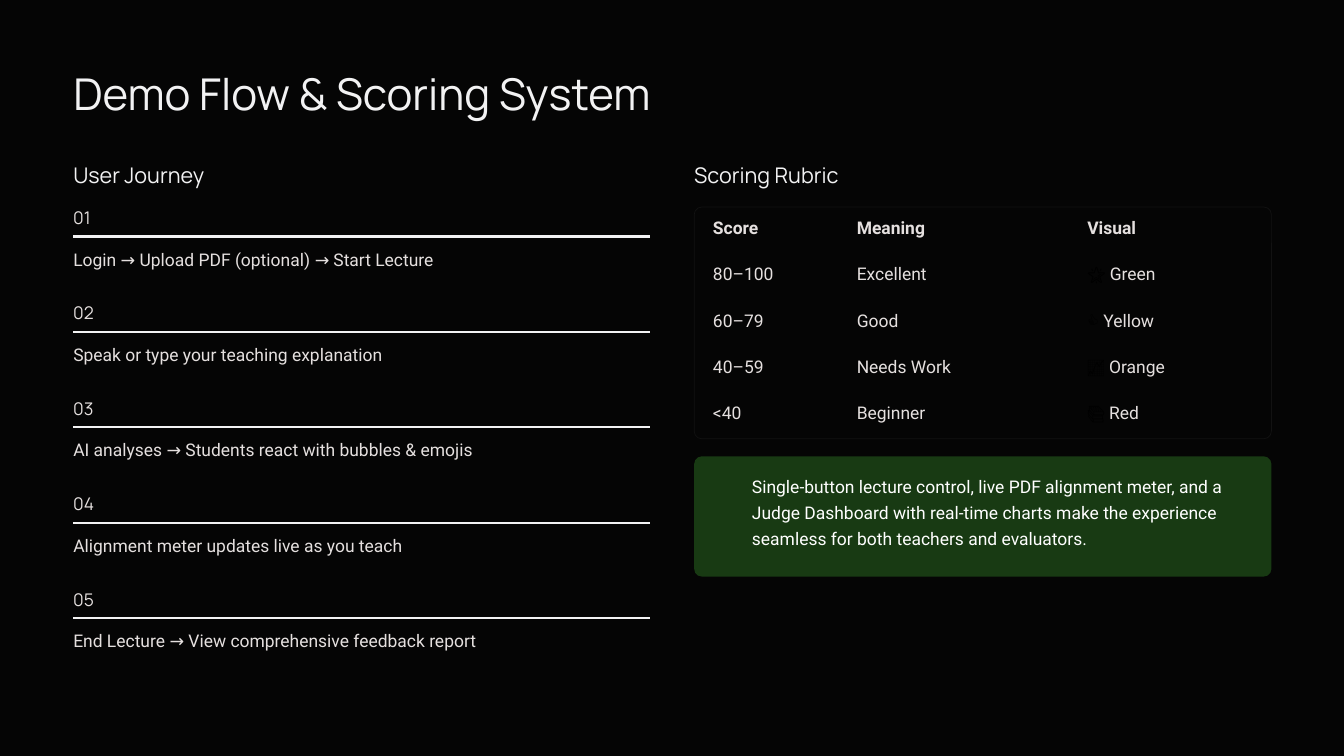
from dataclasses import dataclass

from pptx import Presentation
from pptx.dml.color import RGBColor
from pptx.enum.shapes import MSO_CONNECTOR, MSO_SHAPE
from pptx.enum.text import MSO_ANCHOR, MSO_AUTO_SIZE, PP_ALIGN
from pptx.oxml.ns import qn
from pptx.util import Inches, Pt
from lxml import etree


@dataclass(frozen=True)
class TextStyle:
    font: str
    size: float
    spacing: float
    color: str
    bold: bool = False


@dataclass(frozen=True)
class Theme:
    background: str = "050505"
    rule: str = "F2F2F3"
    frame: str = "121212"
    callout: str = "183A13"
    icon: str = "000000"
    title: TextStyle = TextStyle("Manrope", 46.9, 58.7, "F2F2F3")
    heading: TextStyle = TextStyle("Manrope", 23.1, 29.4, "F2F2F3")
    number: TextStyle = TextStyle("Manrope", 18.7, 27.5, "E5E0DF")
    body: TextStyle = TextStyle("Roboto", 18.7, 27.5, "E5E0DF")
    table_head: TextStyle = TextStyle("Roboto", 18.7, 27.5, "E5E0DF", True)
    callout_text: TextStyle = TextStyle("Roboto", 18.7, 27.5, "FFFFFF")


@dataclass(frozen=True)
class Step:
    number: str
    text: str


@dataclass(frozen=True)
class Score:
    points: str
    meaning: str
    icon: str
    color_name: str


THEME = Theme()
LEFT, RIGHT, COLUMN_WIDTH = 1.09, 10.33, 8.59
STEP_TOP, STEP_PITCH = 3.01, 1.42
TABLE_TOP, ROW_HEIGHT = 3.08, 0.69
TABLE_COLUMNS = (2.14, 3.43, 3.02)
CORNER = 0.115

STEPS = (
    Step("01", "Login → Upload PDF (optional) → Start Lecture"),
    Step("02", "Speak or type your teaching explanation"),
    Step("03", "AI analyses → Students react with bubbles & emojis"),
    Step("04", "Alignment meter updates live as you teach"),
    Step("05", "End Lecture → View comprehensive feedback report"),
)
HEADERS = ("Score", "Meaning", "Visual")
SCORES = (
    Score("80–100", "Excellent", "🌟", "Green"),
    Score("60–79", "Good", "👍", "Yellow"),
    Score("40–59", "Needs Work", "📈", "Orange"),
    Score("<40", "Beginner", "📚", "Red"),
)
CALLOUT = (
    "Single-button lecture control, live PDF alignment meter, and a Judge Dashboard "
    "with real-time charts make the experience seamless for both teachers and evaluators."
)


def rgb(color: str) -> RGBColor:
    return RGBColor.from_string(color)


def write(frame, text: str, style: TextStyle, icon: str = "") -> None:
    """Fill a text frame with one paragraph, optionally led by a dark icon."""
    frame.word_wrap = True
    paragraph = frame.paragraphs[0]
    paragraph.alignment = PP_ALIGN.LEFT
    paragraph.line_spacing = Pt(style.spacing)
    paragraph.font.name = style.font
    paragraph.font.size = Pt(style.size)
    paragraph.font.bold = style.bold
    paragraph.font.color.rgb = rgb(style.color)
    if icon:
        icon_run = paragraph.add_run()
        icon_run.text = icon
        icon_run.font.color.rgb = rgb(THEME.icon)
        text = f" {text}"
    paragraph.add_run().text = text


def clear_margins(frame) -> None:
    frame.margin_left = frame.margin_right = frame.margin_top = frame.margin_bottom = 0
    frame.vertical_anchor = MSO_ANCHOR.TOP
    frame.auto_size = MSO_AUTO_SIZE.NONE


def add_text(slide, left: float, top: float, width: float, height: float,
             text: str, style: TextStyle) -> None:
    box = slide.shapes.add_textbox(Inches(left), Inches(top), Inches(width), Inches(height))
    clear_margins(box.text_frame)
    write(box.text_frame, text, style)


def add_panel(slide, top: float, height: float):
    """Add a rounded panel that spans the right column."""
    shape = slide.shapes.add_shape(MSO_SHAPE.ROUNDED_RECTANGLE, Inches(RIGHT), Inches(top),
                                   Inches(COLUMN_WIDTH), Inches(height))
    shape.adjustments[0] = CORNER / height
    shape.shadow.inherit = False
    return shape


def add_step(slide, step: Step, top: float) -> None:
    add_text(slide, LEFT, top, 0.53, 0.4, step.number, THEME.number)
    rule_y = Inches(top + 0.51)
    rule = slide.shapes.add_connector(MSO_CONNECTOR.STRAIGHT, Inches(LEFT), rule_y,
                                      Inches(LEFT + COLUMN_WIDTH), rule_y)
    rule.line.color.rgb = rgb(THEME.rule)
    rule.line.width = Pt(2.25)
    etree.SubElement(rule._element.spPr, qn("a:effectLst"))
    add_text(slide, LEFT, top + 0.62, COLUMN_WIDTH, 0.45, step.text, THEME.body)


def add_rubric(slide) -> None:
    row_count = len(SCORES) + 1
    height = row_count * ROW_HEIGHT
    border = add_panel(slide, TABLE_TOP, height)
    border.fill.background()
    border.line.color.rgb = rgb(THEME.frame)
    border.line.width = Pt(0.75)

    table = slide.shapes.add_table(row_count, len(HEADERS), Inches(RIGHT), Inches(TABLE_TOP),
                                   Inches(COLUMN_WIDTH), Inches(height)).table
    table.first_row = table.horz_banding = False
    # "No Style, No Grid" removes the default cell borders
    style_id = table._tbl.tblPr.find(qn("a:tableStyleId"))
    style_id.text = "{2D5ABB26-0587-4C30-8999-92F81FD0307C}"
    for column, width in zip(table.columns, TABLE_COLUMNS):
        column.width = Inches(width)
    for row in table.rows:
        row.height = Inches(ROW_HEIGHT)
    for cell in table.iter_cells():
        cell.fill.background()
        cell.margin_left = Inches(0.28)
        cell.margin_top = Inches(0.09)
        cell.margin_right = cell.margin_bottom = 0

    for column, header in enumerate(HEADERS):
        write(table.cell(0, column).text_frame, header, THEME.table_head)
    for row, score in enumerate(SCORES, start=1):
        write(table.cell(row, 0).text_frame, score.points, THEME.body)
        write(table.cell(row, 1).text_frame, score.meaning, THEME.body)
        write(table.cell(row, 2).text_frame, score.color_name, THEME.body, score.icon)


def main() -> None:
    presentation = Presentation()
    presentation.slide_width, presentation.slide_height = Inches(20), Inches(11.25)
    slide = presentation.slides.add_slide(presentation.slide_layouts[5])
    slide.background.fill.solid()
    slide.background.fill.fore_color.rgb = rgb(THEME.background)

    # Title
    title = slide.shapes.title
    title.left, title.top = Inches(LEFT), Inches(0.96)
    title.width, title.height = Inches(9.45), Inches(0.9)
    clear_margins(title.text_frame)
    write(title.text_frame, "Demo Flow & Scoring System", THEME.title)

    # User journey
    add_text(slide, LEFT, 2.38, 3.29, 0.44, "User Journey", THEME.heading)
    for index, step in enumerate(STEPS):
        add_step(slide, step, STEP_TOP + index * STEP_PITCH)

    # Scoring rubric
    add_text(slide, RIGHT, 2.38, 3.29, 0.44, "Scoring Rubric", THEME.heading)
    add_rubric(slide)

    # Callout
    callout = add_panel(slide, 6.79, 1.79)
    callout.fill.solid()
    callout.fill.fore_color.rgb = rgb(THEME.callout)
    callout.line.fill.background()
    add_text(slide, 11.19, 7.02, 7.47, 1.23, CALLOUT, THEME.callout_text)

    presentation.save("out.pptx")


if __name__ == "__main__":
    main()
